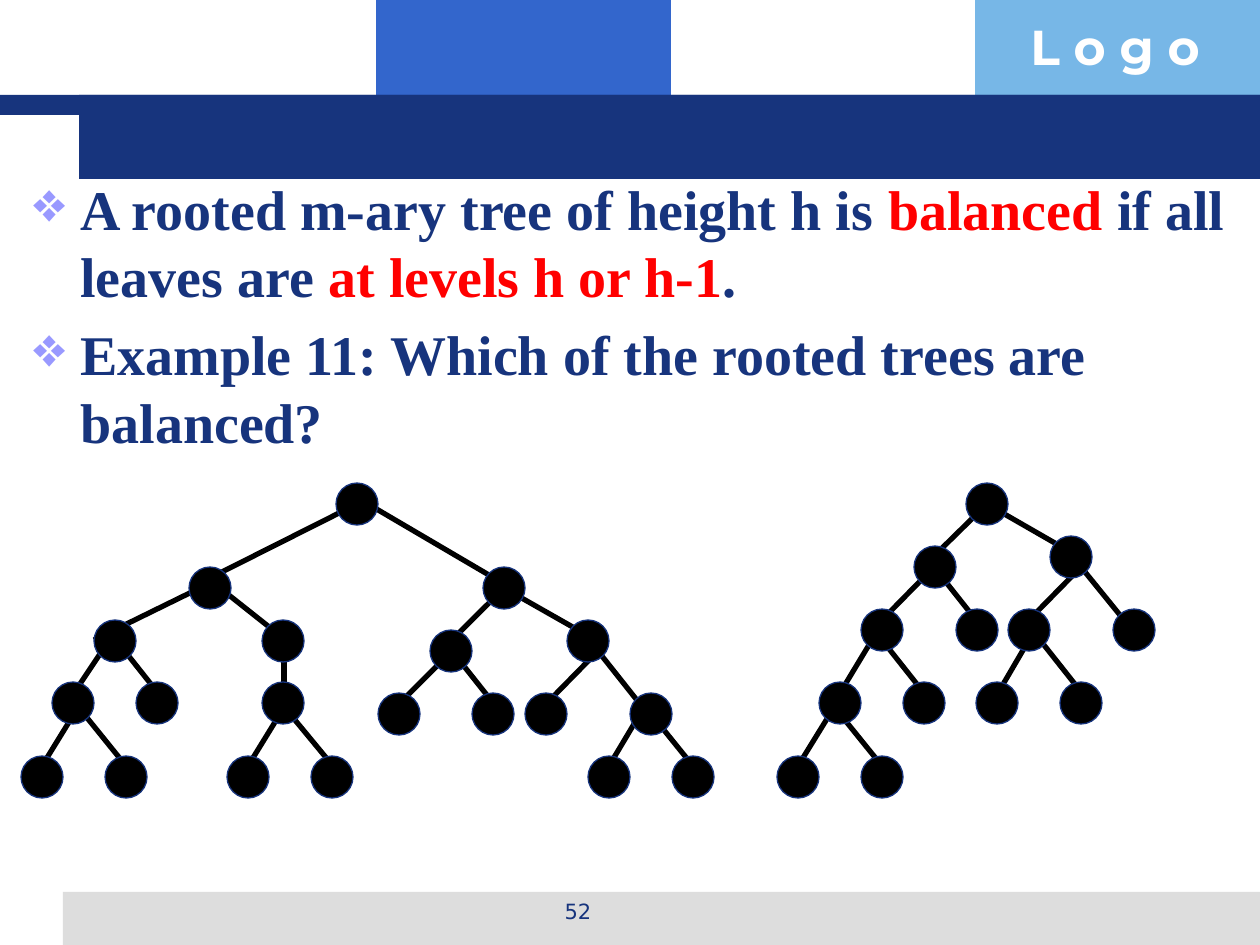
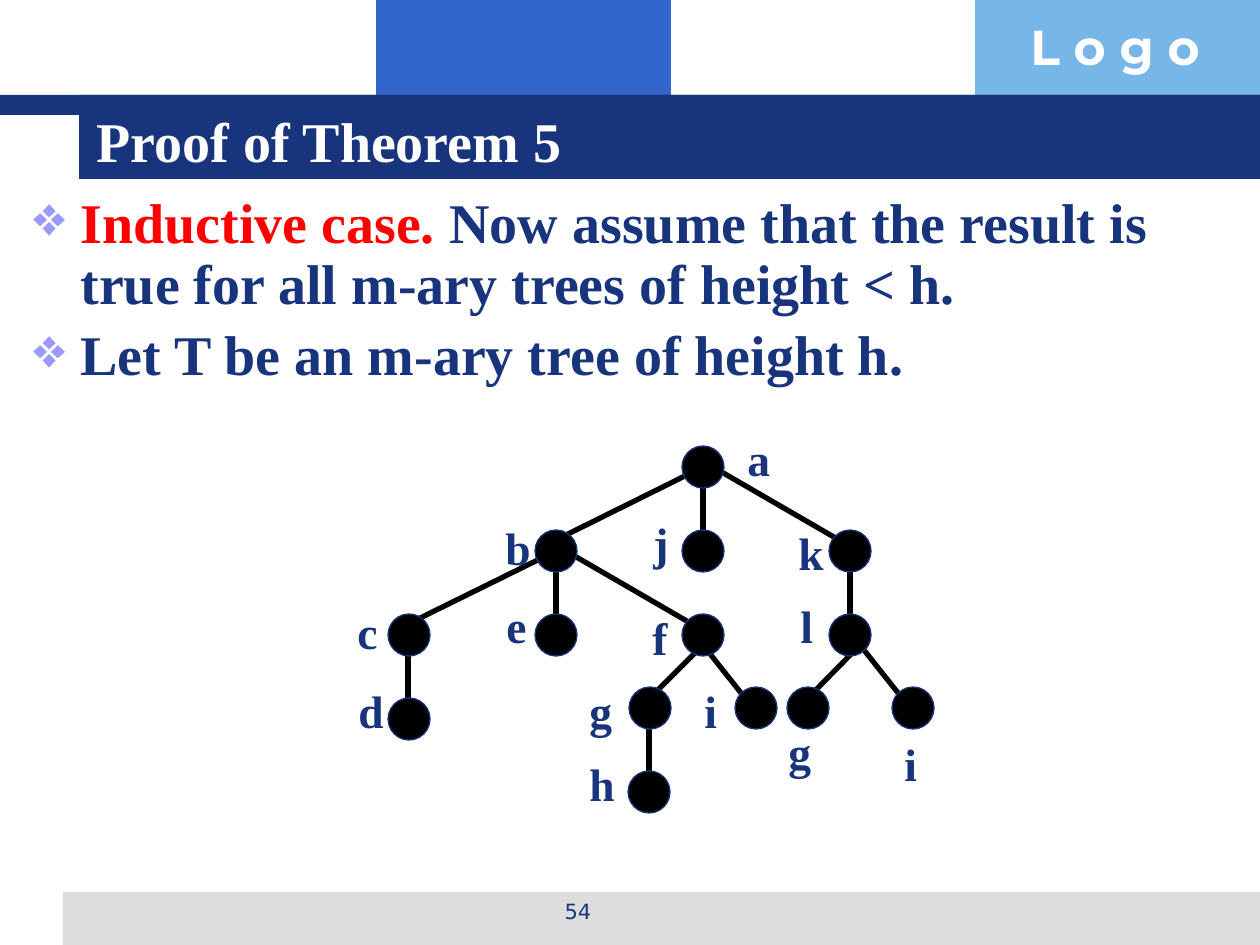
from lxml.etree import SubElement
from pptx import Presentation
from pptx.dml.color import RGBColor
from pptx.enum.shapes import MSO_CONNECTOR as Connector, MSO_SHAPE as Shape
from pptx.enum.text import MSO_ANCHOR as Anchor, PP_ALIGN as Align
from pptx.oxml.ns import qn
from pptx.util import Emu, Pt

PX_PER_INCH = 126
NAVY, BLUE, SKY, GREY = "17347D", "3366CC", "77B7E7", "DDDDDD"
LILAC, RED, BLACK, WHITE = "9999FF", "FF0000", "000000", "FFFFFF"
SERIF = "Times New Roman"
NODE_SIZE = 42
HANGING_INDENT = 47

BANDS = [
    (376, 0, 295, 116, BLUE),
    (975, 0, 285, 116, SKY),
    (63, 892, 1197, 53, GREY),
    (0, 95, 1260, 20, NAVY),
    (79, 95, 1181, 84, NAVY),
]

# Each node is left, top and, below a root, the start and end of its edge.
LEFT_TREE = [
    (336, 483),
    (189, 567, (357, 504), (210, 578)),
    (483, 567, (368, 504), (494, 578)),
    (94, 620, (200, 588), (94, 640)),
    (262, 620, (220, 588), (273, 630)),
    (430, 630, (504, 588), (452, 640)),
    (567, 620, (504, 588), (578, 630)),
    (52, 682, (116, 630), (74, 693)),
    (136, 682, (116, 640), (158, 693)),
    (262, 682, (284, 640), (284, 714)),
    (378, 693, (452, 651), (399, 704)),
    (472, 693, (452, 651), (494, 704)),
    (525, 693, (598, 651), (546, 704)),
    (630, 693, (598, 651), (640, 704)),
    (21, 756, (74, 714), (42, 766)),
    (105, 756, (84, 714), (126, 766)),
    (227, 756, (280, 714), (248, 766)),
    (311, 756, (290, 714), (333, 766)),
    (588, 756, (640, 714), (609, 766)),
    (672, 756, (651, 714), (693, 766)),
]
RIGHT_TREE = [
    (966, 483),
    (914, 546, (987, 504), (934, 556)),
    (1050, 536, (987, 504), (1060, 546)),
    (861, 609, (934, 567), (882, 620)),
    (956, 609, (934, 567), (976, 620)),
    (1008, 609, (1081, 567), (1029, 620)),
    (1113, 609, (1081, 567), (1124, 620)),
    (819, 682, (872, 640), (840, 693)),
    (903, 682, (882, 640), (924, 693)),
    (976, 682, (1029, 640), (998, 693)),
    (1060, 682, (1040, 640), (1082, 693)),
    (777, 756, (830, 714), (798, 766)),
    (861, 756, (840, 714), (882, 766)),
]
PROOF_TREE = [
    (682, 446),
    (535, 530, (703, 467), (556, 540)),
    (682, 530, (703, 488), (703, 561)),
    (829, 530, (713, 467), (839, 540)),
    (388, 614, (556, 551), (408, 624)),
    (535, 614, (556, 572), (556, 645)),
    (682, 614, (566, 551), (692, 624)),
    (829, 614, (850, 572), (850, 645)),
    (388, 698, (408, 655), (408, 729)),
    (629, 687, (703, 645), (650, 698)),
    (735, 687, (703, 645), (745, 698)),
    (787, 687, (860, 645), (808, 698)),
    (892, 687, (860, 645), (902, 698)),
    (628, 771, (649, 729), (649, 803)),
]
PROOF_LABELS = [
    ("a", 735, 425), ("b", 493, 514), ("j", 641, 509), ("k", 786, 519),
    ("c", 345, 598), ("e", 494, 592), ("f", 640, 604), ("l", 788, 592),
    ("d", 346, 677), ("g", 577, 677), ("i", 692, 677), ("h", 577, 750),
    ("g", 776, 718), ("i", 892, 730),
]

LOGO = {"name": "Montserrat", "size": Pt(28), "bold": True}
NUMBER = {"name": "DejaVu Sans", "size": Pt(12)}
HEADING = {"name": SERIF, "size": Pt(32), "bold": True}
LABEL = {"name": SERIF, "size": Pt(26), "bold": True}


def px(length):
    """Turn a length in px into EMU."""
    return Emu(round(length * 914400 / PX_PER_INCH))


def color(value):
    """Turn a hex string into a colour."""
    return RGBColor.from_string(value)


def add_span(para, text, tint, style):
    """Add one run of styled text."""
    span = para.add_run()
    span.text = text
    for name, value in style.items():
        setattr(span.font, name, value)
    span.font.color.rgb = color(tint)


def add_box(page, *place):
    """Add an empty wrapping text box."""
    box = page.shapes.add_textbox(*map(px, place))
    box.text_frame.word_wrap = True
    return box.text_frame


def add_line_of_text(page, place, text, tint, style, align=Align.LEFT, anchor=Anchor.TOP):
    """Add a text box with a single paragraph."""
    frame = add_box(page, *place)
    frame.vertical_anchor = anchor
    para = frame.paragraphs[0]
    para.alignment = align
    add_span(para, text, tint, style)


def add_bullet(para):
    """Give a paragraph a hanging diamond bullet."""
    properties = para._p.get_or_add_pPr()
    properties.set("marL", str(px(HANGING_INDENT)))
    properties.set("indent", str(-px(HANGING_INDENT)))
    tint = SubElement(properties, qn("a:buClr"))
    SubElement(tint, qn("a:srgbClr")).set("val", LILAC)
    SubElement(properties, qn("a:buChar")).set("char", "❖")


def add_body(page, place, items, line_spacing):
    """Add bulleted paragraphs, each a list of text and colour pairs."""
    frame = add_box(page, *place)
    for index, spans in enumerate(items):
        para = frame.add_paragraph() if index else frame.paragraphs[0]
        add_bullet(para)
        para.line_spacing = line_spacing
        if index:
            para.space_before = Pt(6.4)
        for text, tint in spans:
            add_span(para, text, tint, HEADING)


def add_solid(page, kind, place, fill):
    """Add a filled shape without outline or shadow."""
    shape = page.shapes.add_shape(kind, *map(px, place))
    shape.shadow.inherit = False
    shape.fill.solid()
    shape.fill.fore_color.rgb = color(fill)
    shape.line.fill.background()
    return shape


def add_edge(page, start, end):
    """Add a thick black line between two points."""
    edge = page.shapes.add_connector(Connector.STRAIGHT, *map(px, start + end))
    edge.line.color.rgb = color(BLACK)
    edge.line.width = Pt(3)
    SubElement(edge._element.spPr, qn("a:effectLst"))


def add_node(page, left, top):
    """Add a round tree node."""
    node = add_solid(page, Shape.OVAL, (left, top, NODE_SIZE, NODE_SIZE), BLACK)
    node.line.color.rgb = color(NAVY)
    node.line.width = Pt(0.75)


def add_tree(page, nodes):
    """Add the edges of a tree and its nodes over them."""
    for _, _, *ends in nodes:
        if ends:
            add_edge(page, *ends)
    for left, top, *_ in nodes:
        add_node(page, left, top)


def add_page(deck, number):
    """Add a page with the shared bands, logo text and number."""
    page = deck.slides.add_slide(deck.slide_layouts[6])
    for *place, fill in BANDS:
        add_solid(page, Shape.RECTANGLE, place, fill)
    add_line_of_text(page, (1018, 10, 242, 72), "L o g o", WHITE, LOGO)
    add_line_of_text(page, (431, 892, 294, 44), number, NAVY, NUMBER, Align.CENTER)
    return page


def add_balanced_page(deck):
    """Add the page on balanced trees."""
    page = add_page(deck, "52")
    add_body(page, (21, 168, 1239, 750), [
        [("A rooted m-ary tree of height h is ", NAVY), ("balanced ", RED),
         ("if all leaves are ", NAVY), ("at levels h or h-1", RED), (".", NAVY)],
        [("Example 11: Which of the rooted trees are balanced?", NAVY)],
    ], 1.0)
    for tree in (LEFT_TREE, RIGHT_TREE):
        add_tree(page, tree)


def add_proof_page(deck):
    """Add the page with the inductive case."""
    page = add_page(deck, "54")
    add_line_of_text(page, (84, 101, 1134, 78), "Proof of Theorem 5", WHITE, HEADING,
                     anchor=Anchor.MIDDLE)
    add_body(page, (21, 189, 1229, 725), [
        [("Inductive case.", RED),
         (" Now assume that the result is true for all m-ary trees of height < h.", NAVY)],
        [("Let T be an m-ary tree of height h.", NAVY)],
    ], 0.9)
    add_tree(page, PROOF_TREE)
    for letter, left, top in PROOF_LABELS:
        add_line_of_text(page, (left, top, 50, 67), letter, NAVY, LABEL)


def main():
    """Build and save the deck."""
    deck = Presentation()
    deck.slide_width, deck.slide_height = px(1260), px(945)
    add_balanced_page(deck)
    add_proof_page(deck)
    deck.save("out.pptx")


if __name__ == "__main__":
    main()
